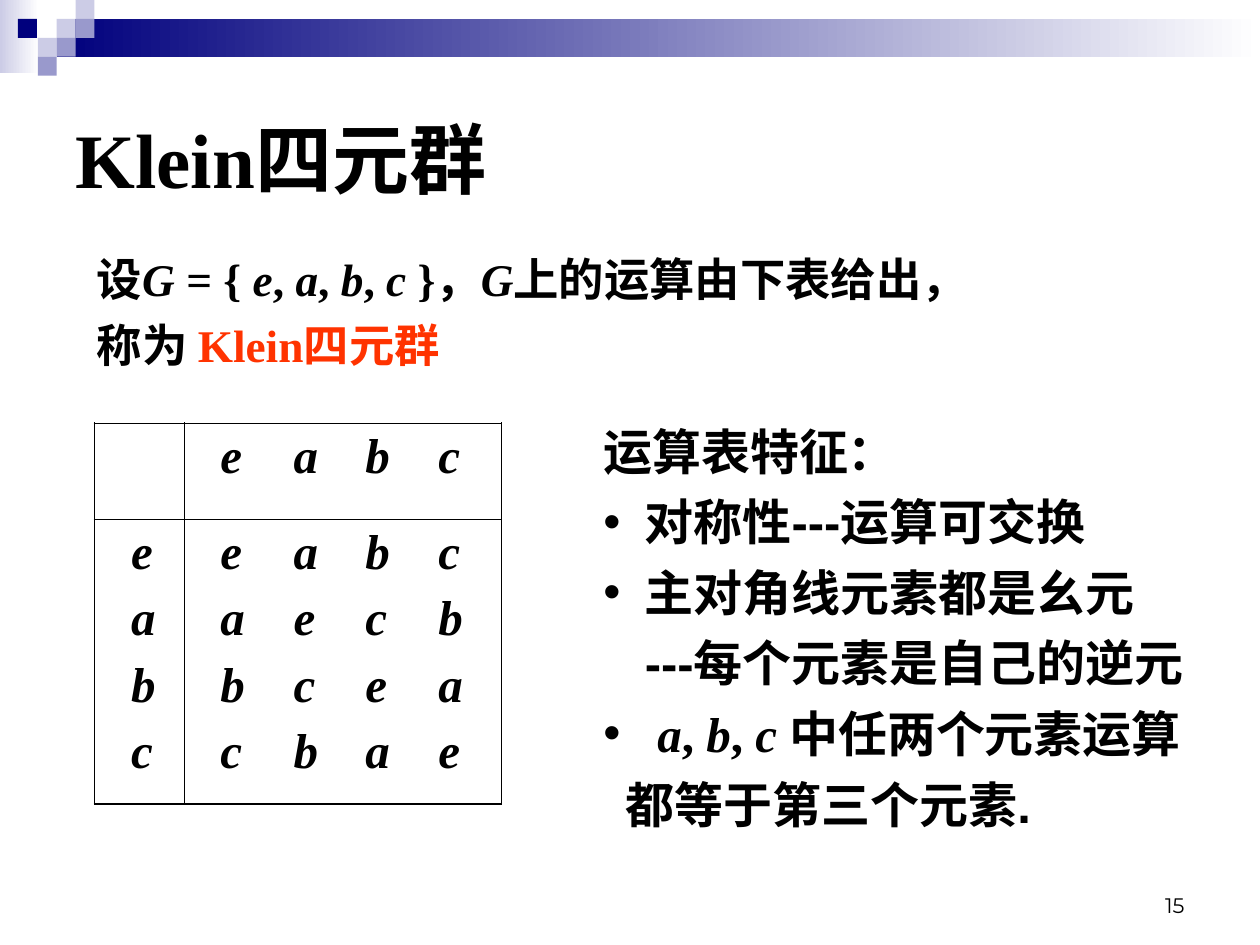
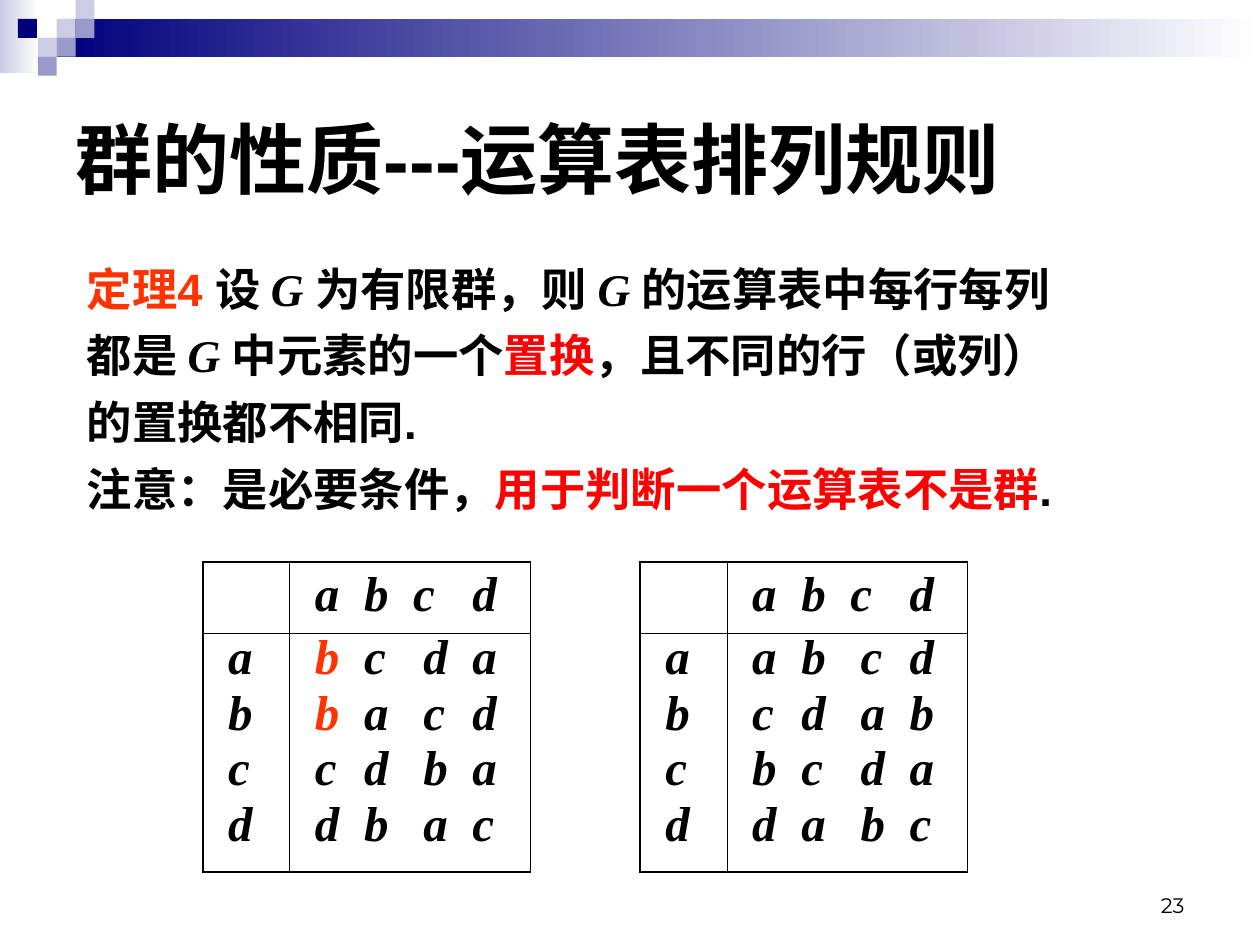
"""Build two slides on the Klein four-group and on the operation tables of finite groups."""
import pptx
import pptx.dml.color
import pptx.enum.lang
import pptx.enum.shapes
import pptx.enum.text
import pptx.oxml
import pptx.oxml.ns
import pptx.util

WIDTH, HEIGHT = 10, 7.5
COLORS = {"black": "000000", "white": "FFFFFF", "navy": "00007D", "lilac": "CCCCE6",
          "violet": "9999CC", "orange": "FF3300", "red": "FF0000"}
STYLES = {
    "plain": ("Arial", False, "black"),
    "serif": ("Times New Roman", False, "black"),
    "math": ("Times New Roman", True, "black"),
    "term": ("Times New Roman", False, "orange"),
    "theorem": ("Arial", False, "orange"),
    "key": ("Arial", False, "red"),
    "marked": ("Times New Roman", True, "orange"),
}
SQUARE = 0.15
BANDS = [((0, 0, 0.31, 0.58), "lilac"), ((0.45, SQUARE, WIDTH - 0.45, 2 * SQUARE), "navy")]
SQUARES = [(3, 1, "lilac"), (4, 0, "lilac"), (4, 1, "violet"), (2, 2, "lilac"),
           (0.95, 1, "navy"), (3, 2, "violet"), (2, 3, "violet")]
INSET = 0.1
THICK, THIN = 1.08, 0.45

SLIDES = [
    {
        "number": "15",
        "title": [("Klein", "serif"), ("四元群", "plain")],
        "body_at": (0.67, 1.94, 8.51, 1.02),
        "body": [
            [("设", "serif"), ("G ", "math"), ("= { ", "serif"), ("e", "math"), (", ", "serif"),
             ("a", "math"), (", ", "serif"), ("b", "math"), (", ", "serif"), ("c ", "math"),
             ("}，", "serif"), ("G", "math"), ("上的运算由下表给出，", "serif")],
            [("称为 ", "serif"), ("Klein四元群", "term")],
        ],
        "tables": [
            {"at": (0.75, 3.36), "cols": (0.71, 2.52), "rows": (0.76, 2.26), "lead": 0.19,
             "head_tabs": (0.58, 1.15, 1.73), "tabs": (0.58, 1.15, 1.73), "spacing": 1,
             "elements": "eabc", "products": ["eabc", "aecb", "bcea", "cbae"], "marked": []},
        ],
        "features_at": (4.69, 3.2, 5.04, 3.6),
        "features": [
            (0, False, [("运算表特征：", "plain")]),
            (0.33, True, [("对称性---运算可交换", "plain")]),
            (0.33, True, [("主对角线元素都是幺元", "plain")]),
            (0.33, False, [("---每个元素是自己的逆元", "plain")]),
            (0.43, True, [("a", "math"), (", ", "serif"), ("b", "math"), (", ", "serif"),
                          ("c ", "math"), ("中任两个元素运算", "plain")]),
            (0.18, False, [("都等于第三个元素.", "plain")]),
        ],
    },
    {
        "number": "23",
        "title": [("群的性质---运算表排列规则", "plain")],
        "body_at": (0.59, 2.02, 8.9, 2.28),
        "body": [
            [("定理4 ", "theorem"), ("设 ", "plain"), ("G ", "math"), ("为有限群，则 ", "plain"),
             ("G ", "math"), ("的运算表中每行每列", "plain")],
            [("都是 ", "plain"), ("G ", "math"), ("中元素的一个", "plain"), ("置换", "key"),
             ("，且不同的行（或列）", "plain")],
            [("的置换都不相同.", "plain")],
            [("注意：是必要条件，", "plain"), ("用于判断一个运算表不是群", "key"), (".", "plain")],
        ],
        "tables": [
            {"at": (left, 4.46), "cols": (0.69, 1.91), "rows": (0.57, 1.89), "lead": 0.1,
             "head_tabs": (0.39, 0.78, 1.25), "tabs": (0.39, 0.86, 1.25), "spacing": 0.8,
             "elements": "abcd", "products": products, "marked": marked}
            for left, products, marked in [
                (1.61, ["bcda", "bacd", "cdba", "dbac"], [(0, 0), (1, 0)]),
                (5.08, ["abcd", "cdab", "bcda", "dabc"], []),
            ]
        ],
        "features": [],
    },
]


def inches(values):
    return [pptx.util.Inches(v) for v in values]


def rgb(name):
    return pptx.dml.color.RGBColor.from_string(COLORS[name])


def add_runs(p, runs, size):
    for text, style in runs:
        r = p.add_run()
        r.text = text
        name, italic, color = STYLES[style]
        r.font.name, r.font.size = name, pptx.util.Pt(size)
        r.font.bold, r.font.italic = True, italic
        r.font.color.rgb = rgb(color)
        r.font.language_id = pptx.enum.lang.MSO_LANGUAGE_ID.SIMPLIFIED_CHINESE


def add_paragraphs(tf, paragraphs, size, spacing=1, before=0):
    for i, runs in enumerate(paragraphs):
        p = tf.add_paragraph() if i else tf.paragraphs[0]
        p.line_spacing = float(spacing)
        p.space_before = pptx.util.Pt(before)
        add_runs(p, runs, size)


def append_xml(parent, tag, **attributes):
    child = pptx.oxml.parse_xml(f"<a:{tag} {pptx.oxml.ns.nsdecls('a')}/>")
    for key, value in attributes.items():
        child.set(key, str(value))
    parent.append(child)
    return child


def add_textbox(s, at):
    tf = s.shapes.add_textbox(*inches(at)).text_frame
    tf.word_wrap = True
    return tf


def add_decoration(s, layout):
    parts = [(at, color, True) for at, color in BANDS]
    parts += [((col * SQUARE, row * SQUARE, SQUARE, SQUARE), color, False)
              for col, row, color in SQUARES]
    for at, color, fades in parts:
        sp = s.shapes.add_shape(pptx.enum.shapes.MSO_SHAPE.RECTANGLE, *inches(at))
        sp.shadow.inherit = False
        sp.line.fill.background()
        if fades:
            sp.fill.gradient()
            sp.fill.gradient_angle = 0
            for stop, name in zip(sp.fill.gradient_stops, (color, "white")):
                stop.color.rgb = rgb(name)
        else:
            sp.fill.solid()
            sp.fill.fore_color.rgb = rgb(color)
        layout.shapes.element.append(sp.element)


def add_title(s, runs):
    sp = s.shapes.title
    sp.left, sp.top, sp.width, sp.height = inches((0.5, 0.5, 0.9 * WIDTH, 0.2 * HEIGHT))
    tf = sp.text_frame
    tf.vertical_anchor = pptx.enum.text.MSO_ANCHOR.MIDDLE
    add_paragraphs(tf, [runs], 44)
    tf.paragraphs[0].alignment = pptx.enum.text.PP_ALIGN.LEFT


def add_number(s, number):
    tf = add_textbox(s, (7.17, 6.83, 2.33, 0.5))
    tf.vertical_anchor = pptx.enum.text.MSO_ANCHOR.BOTTOM
    tf.text = number
    p = tf.paragraphs[0]
    p.alignment = pptx.enum.text.PP_ALIGN.RIGHT
    p.font.name, p.font.size = "Montserrat", pptx.util.Pt(12)
    r = p.runs[0]
    r.font.name, r.font.size = "Montserrat", pptx.util.Pt(12)
    r.font.color.rgb = rgb("black")


def add_features(s, at, features):
    tf = add_textbox(s, at)
    add_paragraphs(tf, [runs for _, _, runs in features], 28, 1.2)
    for p, (indent, bulleted, _) in zip(tf.paragraphs, features):
        pPr = p._p.get_or_add_pPr()
        pPr.set("marL", str(pptx.util.Inches(indent)))
        pPr.set("indent", str(-pptx.util.Inches(indent) if bulleted else 0))
        if bulleted:
            append_xml(pPr, "buFont", typeface="Arial")
            append_xml(pPr, "buChar", char="•")


def set_borders(cell, row, col):
    widths = {"lnL": THIN if col else THICK, "lnR": THICK if col else THIN,
              "lnT": THIN if row else THICK, "lnB": THICK if row else THIN}
    tcPr = cell._tc.get_or_add_tcPr()
    for i, (side, width) in enumerate(widths.items()):
        ln = append_xml(tcPr, side, w=pptx.util.Pt(width))
        append_xml(append_xml(ln, "solidFill"), "srgbClr", val=COLORS["black"])
        tcPr.insert(i, ln)


def add_operation_table(s, spec):
    size = (sum(spec["cols"]), sum(spec["rows"]))
    table = s.shapes.add_table(2, 2, *inches(spec["at"] + size)).table
    table.first_row = table.horz_banding = False
    for column, width in zip(table.columns, inches(spec["cols"])):
        column.width = width
    for row, height in zip(table.rows, inches(spec["rows"])):
        row.height = height

    def product_runs(i, letters):
        return [("\t" * (j > 0) + letter, "marked" if (i, j) in spec["marked"] else "math")
                for j, letter in enumerate(letters)]

    contents = {
        (0, 0): ([], 1, ()),
        (0, 1): ([product_runs(None, spec["elements"])], 1, spec["head_tabs"]),
        (1, 0): ([[(e, "math")] for e in spec["elements"]], spec["spacing"], ()),
        (1, 1): ([product_runs(i, row) for i, row in enumerate(spec["products"])],
                 spec["spacing"], spec["tabs"]),
    }
    for (row, col), (paragraphs, spacing, tabs) in contents.items():
        cell = table.cell(row, col)
        cell.margin_left = pptx.util.Inches(INSET + spec["lead"])
        cell.fill.background()
        set_borders(cell, row, col)
        add_paragraphs(cell.text_frame, paragraphs, 28, spacing, 7)
        if tabs:
            for p in cell.text_frame.paragraphs:
                stops = append_xml(p._p.get_or_add_pPr(), "tabLst")
                for tab in tabs:
                    append_xml(stops, "tab", pos=pptx.util.Inches(tab), algn="l")


def main():
    prs = pptx.Presentation()
    prs.slide_width, prs.slide_height = inches((WIDTH, HEIGHT))
    layout = prs.slide_layouts[5]
    for i, content in enumerate(SLIDES):
        s = prs.slides.add_slide(layout)
        if i == 0:
            add_decoration(s, layout)
        add_number(s, content["number"])
        add_title(s, content["title"])
        add_paragraphs(add_textbox(s, content["body_at"]), content["body"], 25.9, 1, 7)
        for spec in content["tables"]:
            add_operation_table(s, spec)
        if content["features"]:
            add_features(s, content["features_at"], content["features"])
    prs.save("out.pptx")


if __name__ == "__main__":
    main()
